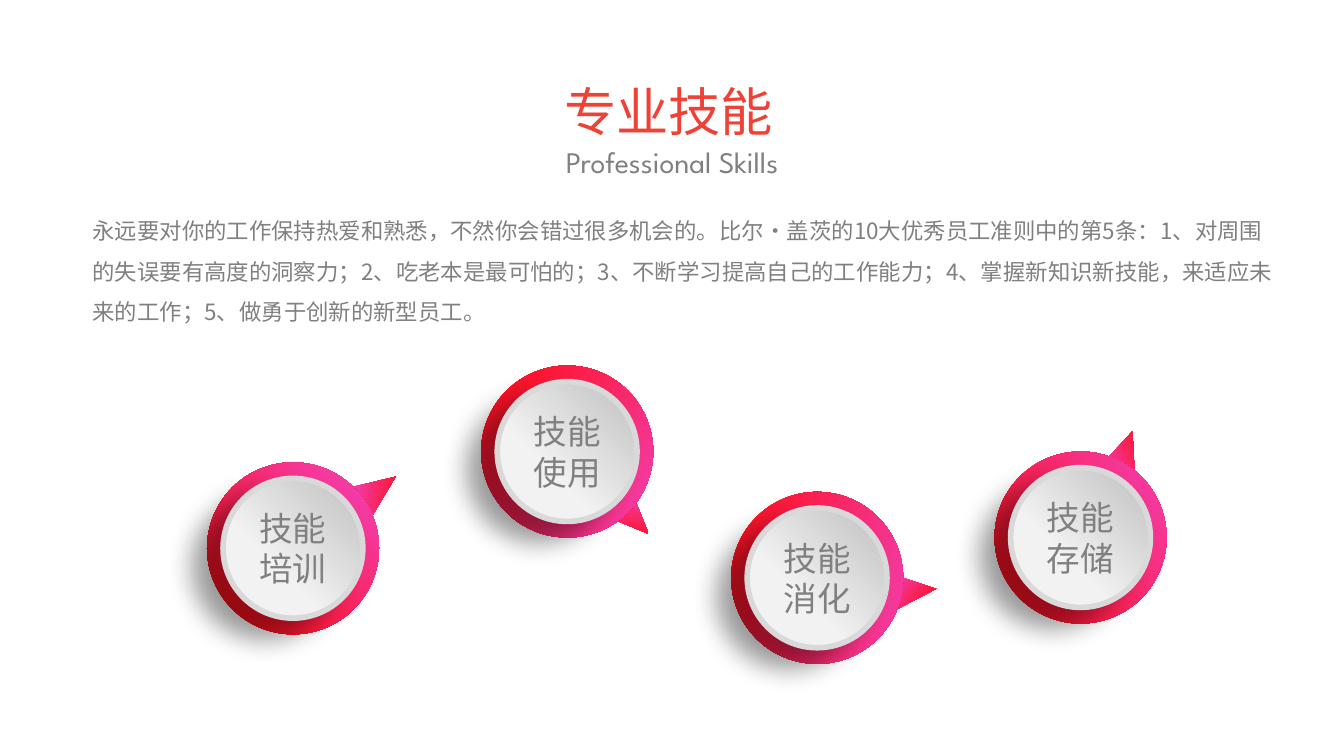
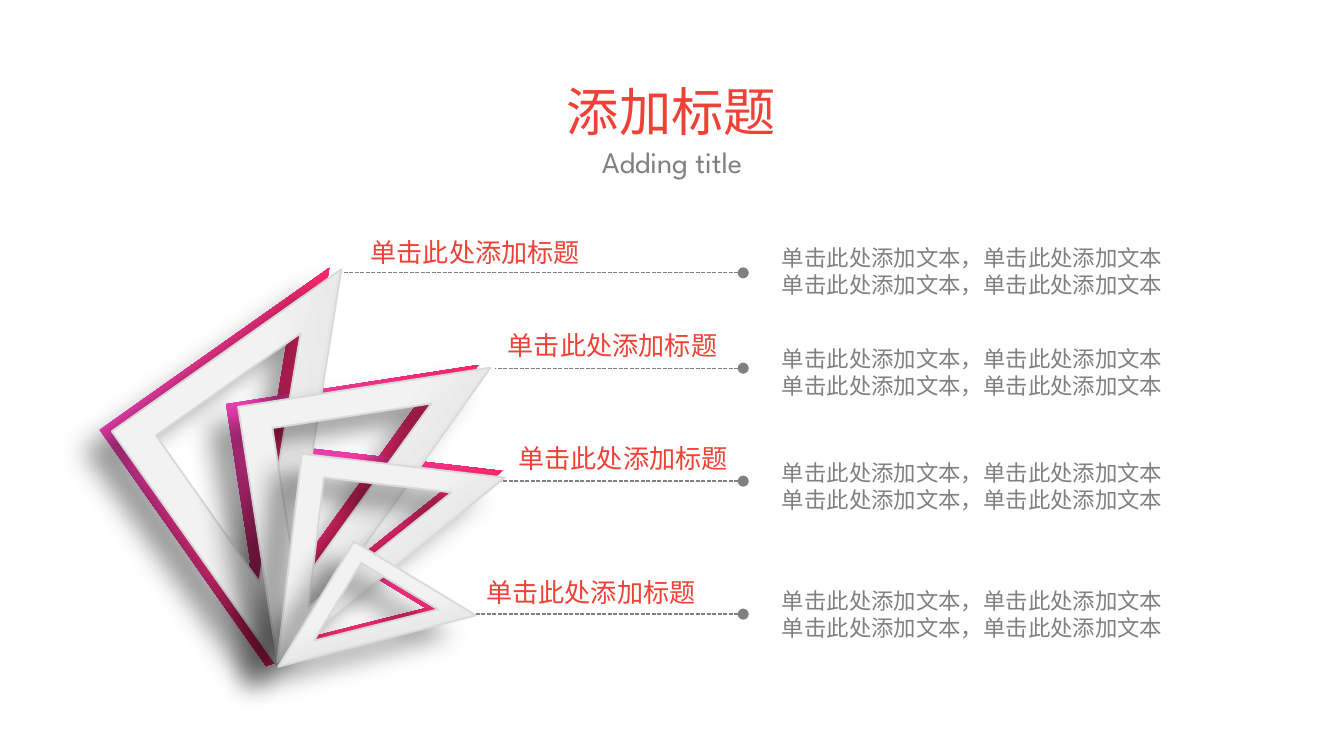
import pptx
import pptx.dml.color
import pptx.enum.dml
import pptx.enum.shapes
import pptx.enum.text
import pptx.oxml
import pptx.oxml.ns
import pptx.util
from dataclasses import dataclass
from lxml import etree

Inches = pptx.util.Inches
Shapes = pptx.enum.shapes.MSO_SHAPE
Align = pptx.enum.text.PP_ALIGN
Anchor = pptx.enum.text.MSO_ANCHOR
AutoSize = pptx.enum.text.MSO_AUTO_SIZE


# Theme
@dataclass(frozen=True)
class Theme:
    red: str = "EF4136"
    gray: str = "808080"
    edge: str = "D9D9D9"
    pointer: tuple = ((0, "F145C4"), (1, "FF0909"))
    ring: tuple = ((0.07, "FF0909"), (1, "F145C4"))
    silver: tuple = ((0.36, "F2F2F2"), (1, "BFBFBF"))
    font: str = "League Spartan"
    body_font: str = "Noto Sans CJK SC"
    title: int = 28
    dial: int = 18
    subtitle: int = 16
    label: int = 14
    body: int = 12


THEME = Theme()
SLIDE_WIDTH = 10
SLIDE_HEIGHT = SLIDE_WIDTH * 9 / 16

# Content: skills slide (title, subtitle, title left)
SKILLS_TITLE = ("专业技能", "Professional Skills", 4.09)
SKILLS_TEXT = (
    "永远要对你的工作保持热爱和熟悉，不然你会错过很多机会的。"
    "比尔·盖茨的10大优秀员工准则中的第5条："
    "1、对周围的失误要有高度的洞察力；2、吃老本是最可怕的；"
    "3、不断学习提高自己的工作能力；4、掌握新知识新技能，来适应未来的工作；"
    "5、做勇于创新的新型员工。"
)
# name, ring left and top, ring rotation, pointer left and top, pointer rotation
DIALS = [
    ("技能培训", (1.54, 3.44), 0, (2.67, 3.48), 53.7),
    ("技能使用", (3.58, 2.72), 75.1, (4.57, 3.69), 135.3),
    ("技能消化", (5.44, 3.66), 56.2, (6.66, 4.23), 85.5),
    ("技能存储", (7.4, 3.36), 10.3, (8.23, 3.2), 20),
]
RING_SIZE, DIAL_SIZE = 1.28, 1.04
POINTER_SIZE = (0.28, 0.33)

# Content: set squares slide
SQUARES_TITLE = ("添加标题", "Adding title", 4.11)
ROW_LABEL = "单击此处添加标题"
ROW_TEXT = ["单击此处添加文本，单击此处添加文本"] * 2
# tip of the leader line, label left and top, text top
ROWS = [
    ((2.52, 2.03), (2.66, 1.71), 1.77),
    ((3.68, 2.74), (3.68, 2.4), 2.52),
    ((3.46, 3.58), (3.76, 3.24), 3.37),
    ((3.32, 4.57), (3.52, 4.24), 4.32),
]
LEADER_START, TEXT_LEFT = 5.53, 5.72
# size, rotation, left and top of the coloured rim, left and top of the face
SET_SQUARES = [
    ((2.15, 2.09), 54.8, (1.14, 2.43), (1.23, 2.44)),
    ((1.96, 1.9), 81.2, (1.79, 2.88), (1.88, 2.9)),
    ((1.56, 1.52), 96.7, (2.11, 3.43), (2.13, 3.48)),
    ((1.09, 1.06), 121.2, (2.17, 4.23), (2.26, 4.24)),
]
# Corners as shares of the width and height
OUTER = [(0, 0), (1, 1), (0, 1)]
HOLE = [(0.1, 0.25), (0.1, 0.88), (0.72, 0.88)]


# Formatting helpers
def rgb(color):
    return pptx.dml.color.RGBColor.from_string(color)


def write(shape, paragraphs, size, color, align=Align.LEFT, font=THEME.font,
          wrap=True, anchor=Anchor.TOP, auto_size=AutoSize.SHAPE_TO_FIT_TEXT,
          spacing=None):
    frame = shape.text_frame
    frame.text = "\n".join(paragraphs)
    frame.word_wrap = wrap
    frame.auto_size = auto_size
    frame.vertical_anchor = anchor
    frame.margin_left = frame.margin_right = Inches(0.1)
    frame.margin_top = frame.margin_bottom = Inches(0.05)
    for paragraph in frame.paragraphs:
        paragraph.alignment = align
        paragraph.line_spacing = spacing
        paragraph.font.name = font
        paragraph.font.size = pptx.util.Pt(size)
        paragraph.font.color.rgb = rgb(color)


def add_text(slide, box, paragraphs, size, color, **options):
    shape = slide.shapes.add_textbox(*map(Inches, box))
    write(shape, paragraphs, size, color, **options)


def paint(shape, gradient, rotation=0, edge_width=0):
    shape.shadow.inherit = False
    shape.rotation = rotation
    shape.fill.gradient()
    shape.fill.gradient_angle = 45
    for stop, (position, color) in zip(shape.fill.gradient_stops, gradient):
        stop.position = position
        stop.color.rgb = rgb(color)
    if edge_width:
        shape.line.color.rgb = rgb(THEME.edge)
        shape.line.width = pptx.util.Pt(edge_width)
    else:
        shape.line.fill.background()


def cast_shadow(shape):
    effects = shape.element.spPr.find(pptx.oxml.ns.qn("a:effectLst"))
    effects.append(pptx.oxml.parse_xml(
        f'<a:outerShdw {pptx.oxml.ns.nsdecls("a")} blurRad="{pptx.util.Pt(14)}" '
        f'dist="{pptx.util.Pt(18)}" dir="{147 * 60000}" algn="tr" rotWithShape="0">'
        '<a:srgbClr val="000000"><a:alpha val="40000"/></a:srgbClr></a:outerShdw>'))


def add_shape(slide, kind, place, size, gradient, rotation=0, edge_width=0):
    shape = slide.shapes.add_shape(kind, *map(Inches, (*place, *size)))
    paint(shape, gradient, rotation, edge_width)
    return shape


def add_set_square(slide, place, size, rotation, gradient, edge_width=0):
    def corners(shares):
        return [tuple(Inches(start + share * length)
                      for start, share, length in zip(place, pair, size))
                for pair in shares]

    outer, hole = corners(OUTER), corners(HOLE)
    builder = slide.shapes.build_freeform(*outer[0])
    builder.add_line_segments(outer[1:], close=True)
    builder.move_to(*hole[0])
    builder.add_line_segments(hole[1:], close=True)
    shape = builder.convert_to_shape()
    paint(shape, gradient, rotation, edge_width)
    return shape


def add_leader(slide, tip):
    left, top = map(Inches, tip)
    line = slide.shapes.add_connector(
        pptx.enum.shapes.MSO_CONNECTOR.STRAIGHT, Inches(LEADER_START), top, left, top)
    line.line.color.rgb = rgb(THEME.gray)
    line.line.width = pptx.util.Pt(0.75)
    line.line.dash_style = pptx.enum.dml.MSO_LINE.SQUARE_DOT
    properties = line.element.spPr
    outline = properties.find(pptx.oxml.ns.qn("a:ln"))
    etree.SubElement(outline, pptx.oxml.ns.qn("a:headEnd"), type="oval")
    etree.SubElement(properties, pptx.oxml.ns.qn("a:effectLst"))


def add_titled_slide(presentation, title, subtitle, title_left):
    slide = presentation.slides.add_slide(presentation.slide_layouts[5])
    heading = slide.shapes.title
    heading.left, heading.top, heading.width, heading.height = map(
        Inches, (title_left, 0.54, 1.77, 0.57))
    write(heading, [title], THEME.title, THEME.red, align=Align.CENTER, wrap=False)
    add_text(slide, (3.74, 1.02, 2.52, 0.37), [subtitle], THEME.subtitle,
             THEME.gray, align=Align.CENTER)
    return slide


# Slides
def build_skills(presentation):
    slide = add_titled_slide(presentation, *SKILLS_TITLE)
    add_text(slide, (0.59, 1.47, 8.98, 0.96), [SKILLS_TEXT], THEME.body,
             THEME.gray, font=THEME.body_font, spacing=1.5)
    inset = (RING_SIZE - DIAL_SIZE) / 2
    for name, ring, ring_rotation, pointer, pointer_rotation in DIALS:
        add_shape(slide, Shapes.ISOSCELES_TRIANGLE, pointer, POINTER_SIZE,
                  THEME.pointer, pointer_rotation)
        add_shape(slide, Shapes.OVAL, ring, (RING_SIZE, RING_SIZE),
                  THEME.ring, ring_rotation)
        dial = add_shape(slide, Shapes.OVAL, [start + inset for start in ring],
                         (DIAL_SIZE, DIAL_SIZE), THEME.silver, edge_width=3)
        cast_shadow(dial)
        write(dial, [name], THEME.dial, THEME.gray, align=Align.CENTER,
              anchor=Anchor.MIDDLE, auto_size=AutoSize.NONE)


def build_set_squares(presentation):
    slide = add_titled_slide(presentation, *SQUARES_TITLE)
    for size, rotation, rim, _ in SET_SQUARES:
        add_set_square(slide, rim, size, rotation, THEME.pointer)
    for tip, label, text_top in ROWS:
        add_leader(slide, tip)
        add_text(slide, (*label, 1.77, 0.34), [ROW_LABEL], THEME.label,
                 THEME.red, wrap=False)
        add_text(slide, (TEXT_LEFT, text_top, 3.06, 0.5), ROW_TEXT, THEME.body,
                 THEME.gray, wrap=False)
    for size, rotation, _, face in SET_SQUARES:
        cast_shadow(add_set_square(slide, face, size, rotation, THEME.silver, 1))


def main():
    presentation = pptx.Presentation()
    presentation.slide_width = Inches(SLIDE_WIDTH)
    presentation.slide_height = Inches(SLIDE_HEIGHT)
    build_skills(presentation)
    build_set_squares(presentation)
    presentation.save("out.pptx")


if __name__ == "__main__":
    main()
